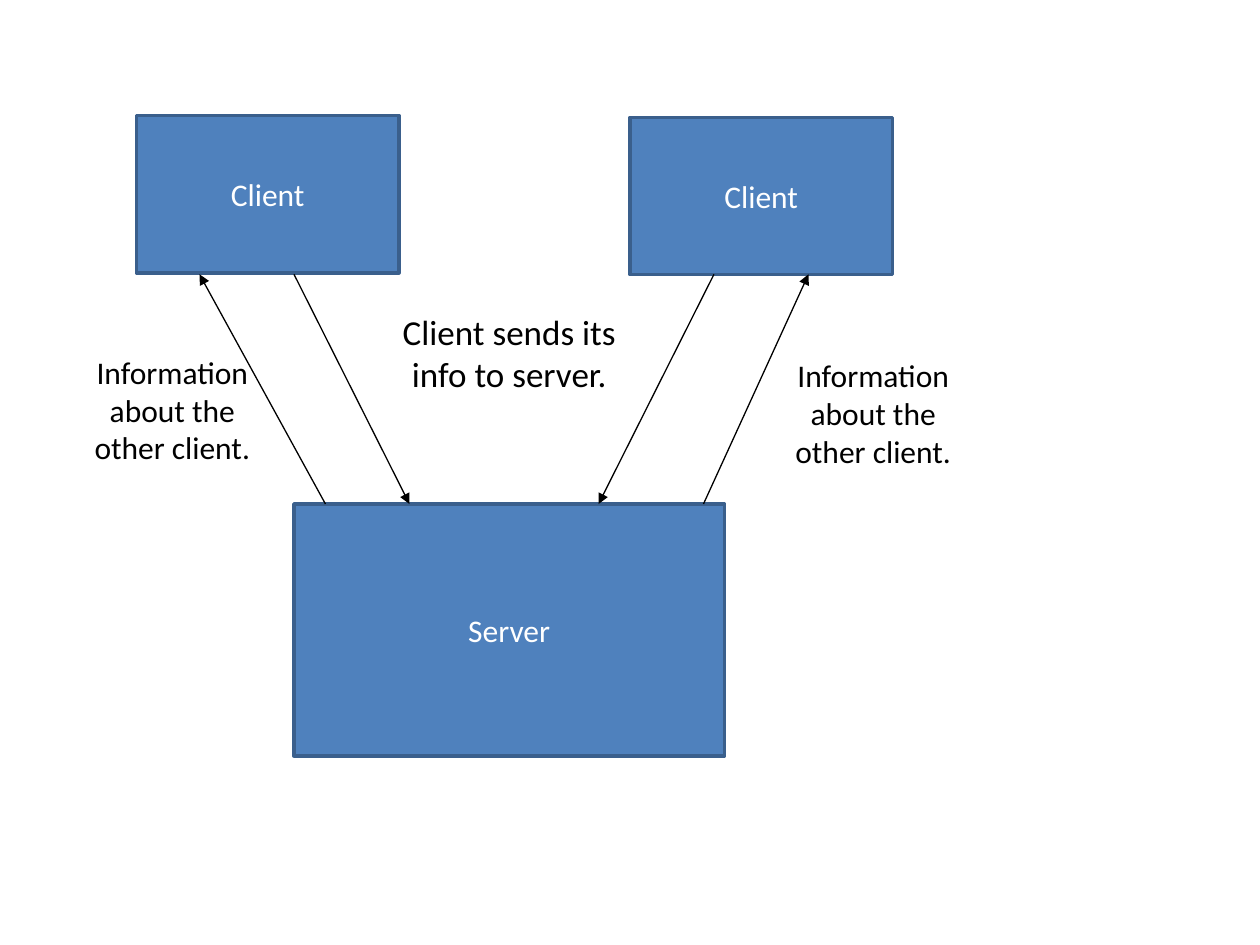
from lxml import etree
from pptx import Presentation
from pptx import util as u
from pptx.dml import color
from pptx.enum import shapes, text
from pptx.oxml import ns


def rgb(value):
    return color.RGBColor.from_string(value)


class Diagram:
    font = "Calibri"
    fill = "4F81BD"
    border = "3A5F8C"
    ink = "000000"
    light = "FFFFFF"

    def __init__(self, slide):
        self.slide = slide

    def add_words(self, sp, words, size, ink):
        tf = sp.text_frame
        tf.word_wrap = True
        p = tf.paragraphs[0]
        p.alignment = text.PP_ALIGN.CENTER
        r = p.add_run()
        r.text = words
        r.font.name = self.font
        r.font.size = u.Pt(size)
        r.font.color.rgb = rgb(ink)
        return tf

    def box(self, words, *place):
        sp = self.slide.shapes.add_shape(
            shapes.MSO_SHAPE.RECTANGLE, *map(u.Pt, place))
        sp.shadow.inherit = False
        sp.fill.solid()
        sp.fill.fore_color.rgb = rgb(self.fill)
        sp.line.color.rgb = rgb(self.border)
        sp.line.width = u.Pt(2)
        tf = self.add_words(sp, words, 18, self.light)
        tf.vertical_anchor = text.MSO_ANCHOR.MIDDLE

    def label(self, words, size, *place):
        sp = self.slide.shapes.add_textbox(*map(u.Pt, place))
        tf = self.add_words(sp, words, size, self.ink)
        tf.auto_size = text.MSO_AUTO_SIZE.SHAPE_TO_FIT_TEXT

    def arrow(self, *ends):
        sp = self.slide.shapes.add_connector(
            shapes.MSO_CONNECTOR.STRAIGHT, *map(u.Pt, ends))
        sp.line.color.rgb = rgb(self.ink)
        sp.line.width = u.Pt(0.75)
        properties = sp.element.spPr
        outline = properties.find(ns.qn("a:ln"))
        etree.SubElement(outline, ns.qn("a:tailEnd"), type="triangle")
        etree.SubElement(properties, ns.qn("a:effectLst"))


prs = Presentation()
prs.slide_width, prs.slide_height = u.Pt(720), u.Pt(540)
diagram = Diagram(prs.slides.add_slide(prs.slide_layouts[6]))

client_bottom, server_top = 156.75, 288

for left, top in ((78, 66), (360, 67)):
    diagram.box("Client", left, top, 150, 90)
diagram.box("Server", 168, server_top, 246, 144)

for client_x, server_x in ((168, 234), (408, 342)):
    diagram.arrow(client_x, client_bottom, server_x, server_top)
for server_x, client_x in ((186, 114), (402, 462)):
    diagram.arrow(server_x, server_top, client_x, client_bottom)

for left, top in ((44.5, 198), (445, 200)):
    diagram.label("Information about the other client.", 18, left, top, 108, 72.7)
diagram.label("Client sends its info to server.", 20, 217, 174, 148, 55.7)

prs.save("out.pptx")
